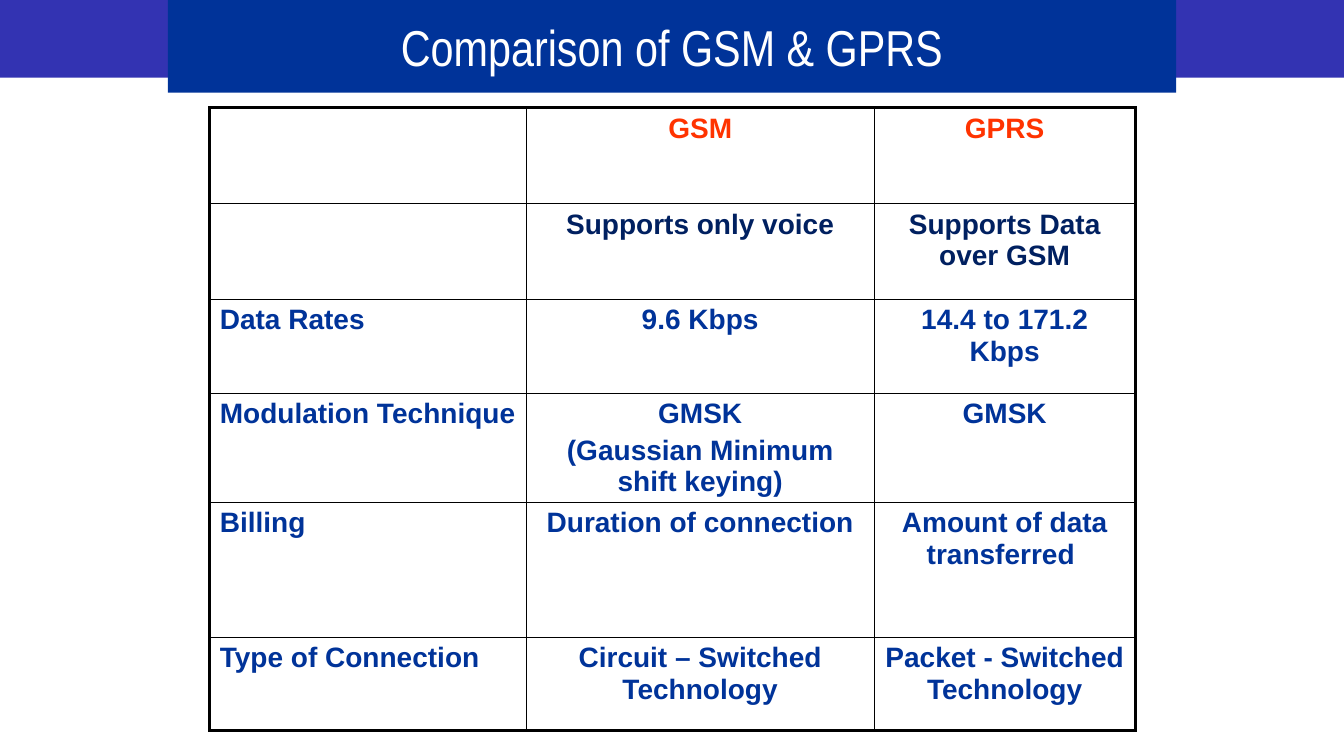
import pptx
import pptx.util
import pptx.dml.color
import pptx.enum.shapes
import pptx.enum.text
import pptx.oxml
import pptx.oxml.ns
from dataclasses import dataclass

Inches = pptx.util.Inches
Pt = pptx.util.Pt
ALIGN = pptx.enum.text.PP_ALIGN


@dataclass(frozen=True)
class Theme:
    """Colours, fonts, type sizes and line widths of the slide."""
    band: str = "3333B2"
    blue: str = "003399"
    navy: str = "002060"
    red: str = "FF3300"
    white: str = "FFFFFF"
    line: str = "000000"
    title_font: str = "Arial Narrow"
    body_font: str = "Arial"
    title_size: int = 36
    body_size: int = 20
    thin: float = 1
    thick: float = 2.25


THEME = Theme()
COLS = [3.14, 3.45, 2.59]
ROWS = [0.95, 0.95, 0.93, 1.08, 1.34, 0.92]
COMPARISON = [
    ["", "GSM", "GPRS"],
    ["", "Supports only voice", "Supports Data over GSM"],
    ["Data Rates", "9.6 Kbps", "14.4 to 171.2 Kbps"],
    ["Modulation Technique", "GMSK\n(Gaussian Minimum shift keying)", "GMSK"],
    ["Billing", "Duration of connection", "Amount of data transferred "],
    ["Type of Connection", "Circuit – Switched Technology",
     "Packet - Switched Technology"],
]


def rgb(value):
    """Return the colour for a hex string."""
    return pptx.dml.color.RGBColor.from_string(value)


def set_attrs(obj, values):
    """Set each attribute in a dict of format values."""
    for name, value in values.items():
        setattr(obj, name, value)


def format_font(font, color, **values):
    """Apply a colour and format values to a font."""
    set_attrs(font, values)
    font.color.rgb = rgb(color)


def add_header(slide, left, top, width, height):
    """Place the full-width band and the title panel centred on it."""
    title = slide.shapes.title
    band = slide.shapes.add_shape(
        pptx.enum.shapes.MSO_SHAPE.RECTANGLE,
        Inches(left), Inches(top), Inches(width), Inches(height))
    band.shadow.inherit = False
    band.fill.solid()
    band.fill.fore_color.rgb = rgb(THEME.band)
    band.line.fill.background()
    title.element.addprevious(band.element)

    panel_width = 10
    set_attrs(title, {
        "left": Inches(left + (width - panel_width) / 2), "top": Inches(top),
        "width": Inches(panel_width), "height": Inches(height + 0.15)})
    title.fill.solid()
    title.fill.fore_color.rgb = rgb(THEME.blue)
    tf = title.text_frame
    tf.text = "Comparison of GSM & GPRS"
    set_attrs(tf, {"word_wrap": True,
                   "auto_size": pptx.enum.text.MSO_AUTO_SIZE.NONE,
                   "vertical_anchor": pptx.enum.text.MSO_ANCHOR.MIDDLE})
    p = tf.paragraphs[0]
    p.alignment = ALIGN.CENTER
    format_font(p.runs[0].font, THEME.white, name=THEME.title_font,
                size=Pt(THEME.title_size), bold=False)


def set_borders(cell, outer):
    """Draw the four cell borders, thick on the outer sides."""
    tc_pr = cell._tc.get_or_add_tcPr()
    for side in "LRTB":
        width = Pt(THEME.thick if side in outer else THEME.thin)
        tc_pr.append(pptx.oxml.parse_xml(
            f'<a:ln{side} {pptx.oxml.ns.nsdecls("a")} w="{width}">'
            f'<a:solidFill><a:srgbClr val="{THEME.line}"/></a:solidFill>'
            f'</a:ln{side}>'))


def fill_cell(cell, text, color, align):
    """Write the cell text, one paragraph per line."""
    cell.fill.background()
    tf = cell.text_frame
    tf.text = text
    for i, p in enumerate(tf.paragraphs):
        p.alignment = align
        if i:
            p.space_before = Pt(THEME.body_size * 0.2)
        for r in p.runs:
            format_font(r.font, color, name=THEME.body_font,
                        size=Pt(THEME.body_size), bold=True)


def add_comparison(slide, left, top):
    """Place the comparison table with its top left corner at the point."""
    frame = slide.shapes.add_table(
        len(ROWS), len(COLS), Inches(left), Inches(top),
        Inches(sum(COLS)), Inches(sum(ROWS)))
    table = frame.table
    set_attrs(table, {"first_row": False, "horz_banding": False})
    for column, width in zip(table.columns, COLS):
        column.width = Inches(width)
    for row, height in zip(table.rows, ROWS):
        row.height = Inches(height)

    row_colors = {0: THEME.red, 1: THEME.navy}
    for i, texts in enumerate(COMPARISON):
        for j, text in enumerate(texts):
            cell = table.cell(i, j)
            edges = {"L": j == 0, "R": j == len(COLS) - 1,
                     "T": i == 0, "B": i == len(ROWS) - 1}
            set_borders(cell, [side for side, outer in edges.items() if outer])
            fill_cell(cell, text, row_colors.get(i, THEME.blue),
                      ALIGN.CENTER if j else ALIGN.LEFT)


def main():
    """Build the slide and save it."""
    prs = pptx.Presentation()
    set_attrs(prs, {"slide_width": Inches(13.33), "slide_height": Inches(7.5)})
    slide = prs.slides.add_slide(prs.slide_layouts.get_by_name("Title Only"))
    add_header(slide, 0, 0, 13.33, 0.77)
    add_comparison(slide, 2.08, 1.07)
    prs.save("out.pptx")


if __name__ == "__main__":
    main()
